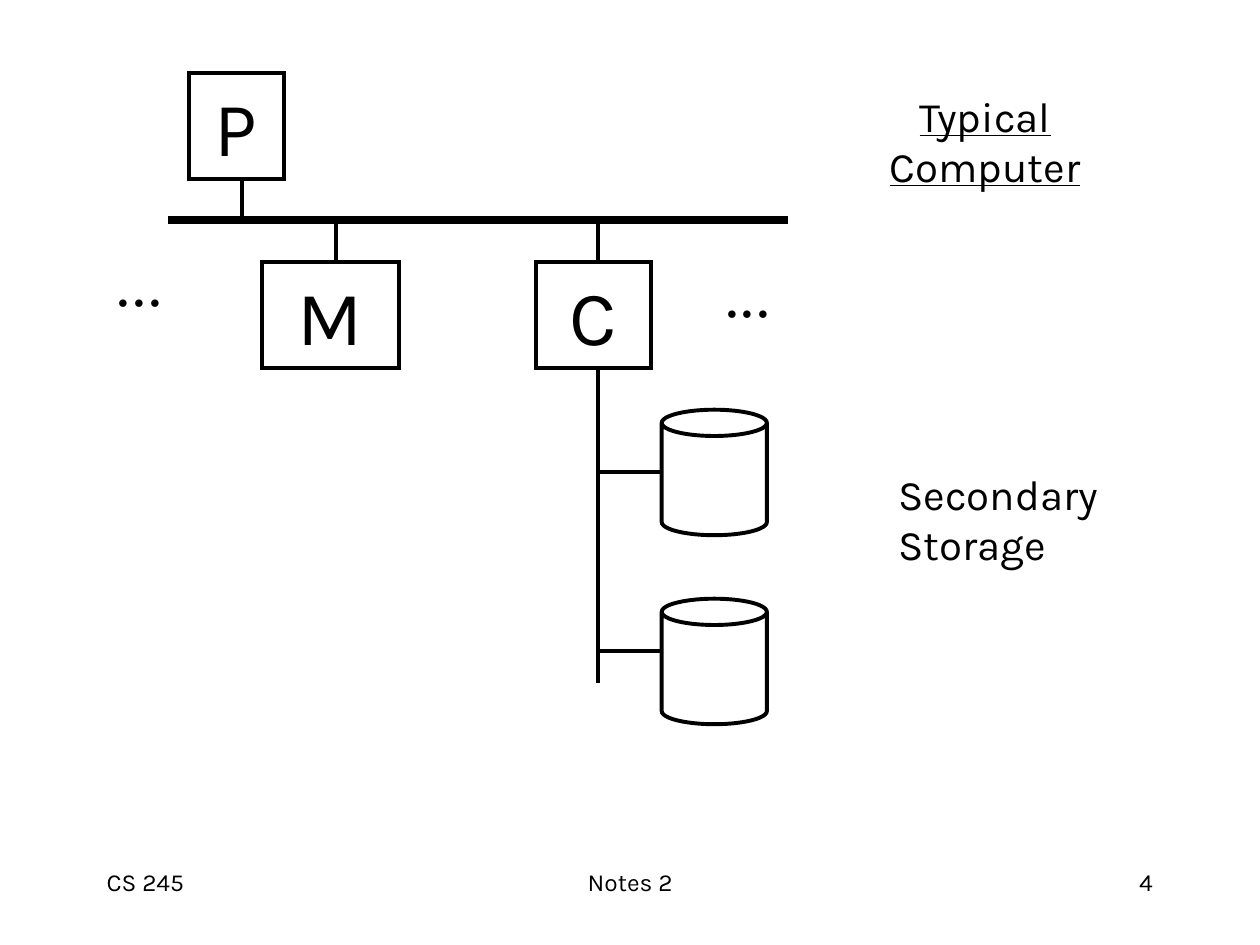
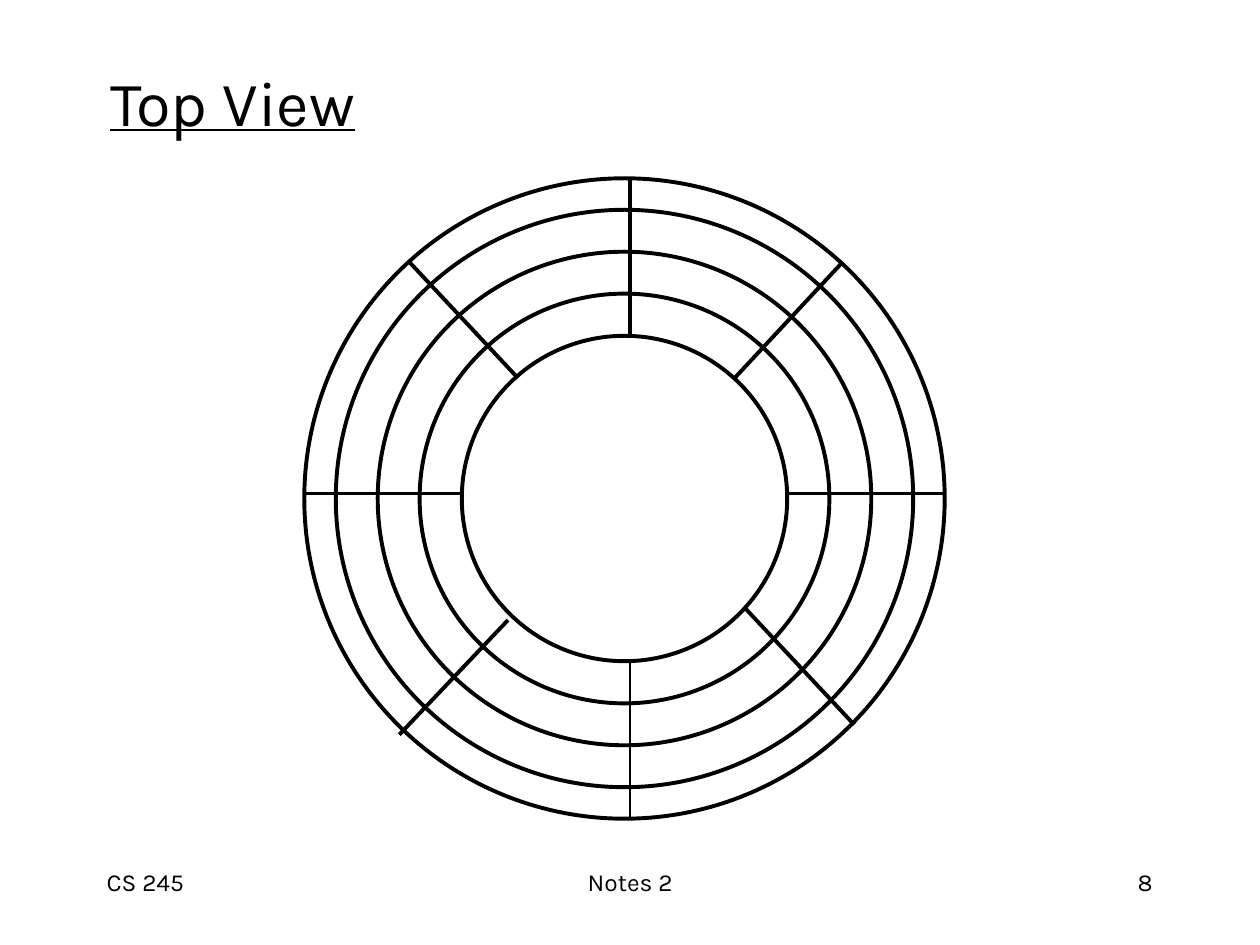
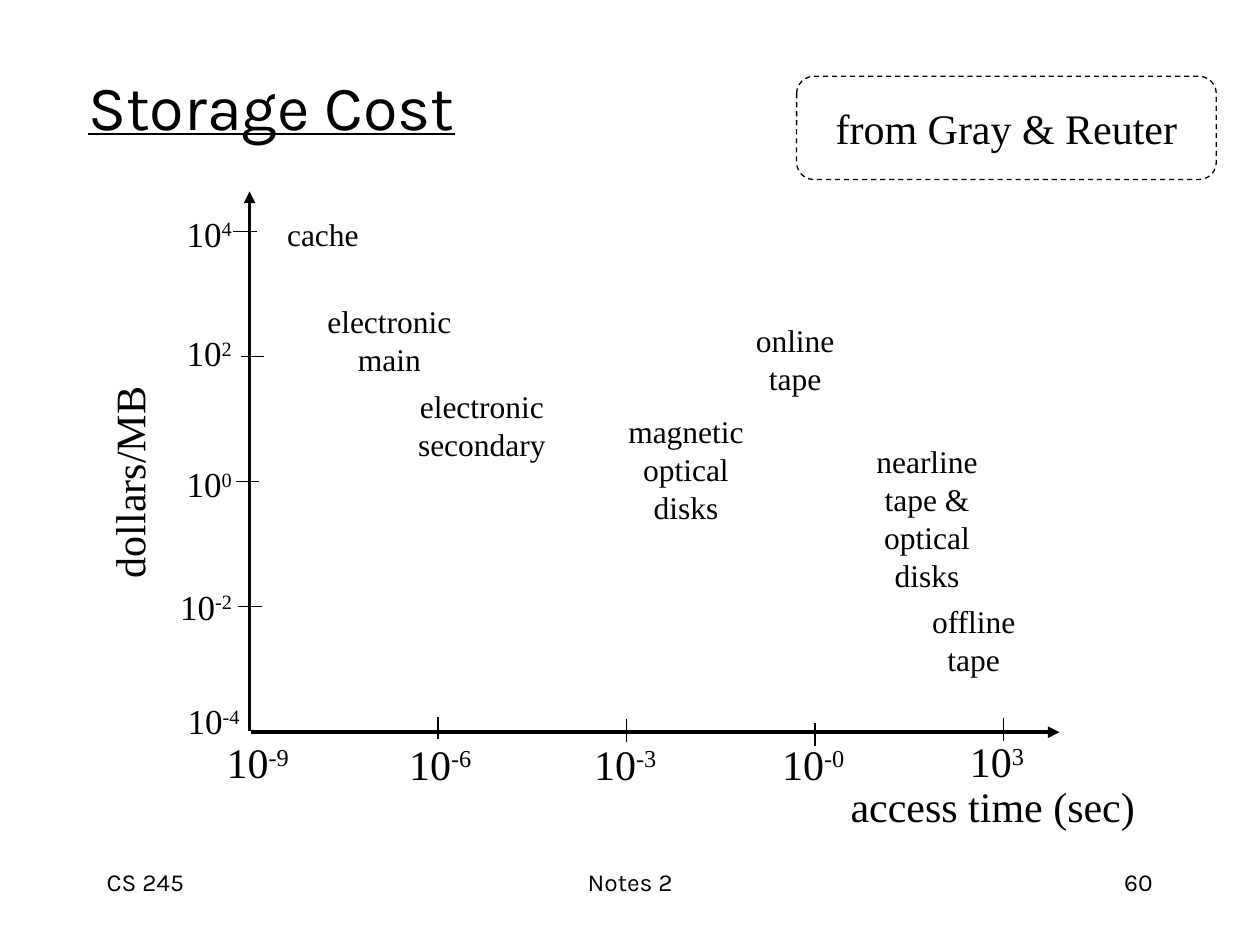
from dataclasses import dataclass

import lxml.etree
import pptx
import pptx.dml.color
import pptx.enum.dml
import pptx.enum.shapes
import pptx.enum.text
import pptx.oxml.ns
import pptx.util

Cm = pptx.util.Cm
Pt = pptx.util.Pt
qn = pptx.oxml.ns.qn
SHAPE = pptx.enum.shapes.MSO_SHAPE
ANCHOR = pptx.enum.text.MSO_ANCHOR
AUTO = pptx.enum.text.MSO_AUTO_SIZE
ALIGN = pptx.enum.text.PP_ALIGN
LEFT, CENTER, RIGHT = ALIGN.LEFT, ALIGN.CENTER, ALIGN.RIGHT
TOP, MIDDLE = ANCHOR.TOP, ANCHOR.MIDDLE


@dataclass
class Theme:
    ink: pptx.dml.color.RGBColor = pptx.dml.color.RGBColor(0, 0, 0)
    paper: pptx.dml.color.RGBColor = pptx.dml.color.RGBColor(255, 255, 255)
    sans: str = "Karla"
    serif: str = "Times New Roman"
    node: int = 44
    title: int = 36
    label: int = 24
    tick: int = 20
    item: int = 18
    footer: int = 14
    thin: float = 0.74
    medium: float = 2.24
    thick: float = 4.5


T = Theme()


def add_box(s, x, y, w, h, text="", size=T.label, font=T.serif, align=CENTER, anchor=MIDDLE,
            kind=None, filled=False, weight=T.medium, wrap=False, grow=True, underline=None):
    if kind is None:
        sp = s.shapes.add_textbox(Cm(x), Cm(y), Cm(w), Cm(h))
    else:
        sp = s.shapes.add_shape(kind, Cm(x), Cm(y), Cm(w), Cm(h))
        sp.shadow.inherit = False
        sp.line.color.rgb = T.ink
        sp.line.width = Pt(weight)
        lxml.etree.SubElement(sp._element.spPr.find(qn("a:ln")), qn("a:miter"), lim="800000")
        if filled:
            sp.fill.solid()
            sp.fill.fore_color.rgb = T.paper
        else:
            sp.fill.background()
    if not text:
        return sp
    tf = sp.text_frame
    tf.word_wrap = wrap
    tf.auto_size = AUTO.SHAPE_TO_FIT_TEXT if grow else AUTO.NONE
    tf.vertical_anchor = anchor
    if not wrap:
        tf.margin_right = Cm(0.2)
        if align == CENTER:
            tf.margin_left = Cm(0.2)
    for i, row in enumerate(text.split("\n")):
        p = tf.paragraphs[0] if i == 0 else tf.add_paragraph()
        p.alignment = align
        base, _, power = row.partition("^")
        for part in filter(None, (base, power)):
            r = p.add_run()
            r.text = part
            r.font.name = font
            r.font.size = Pt(size)
            r.font.color.rgb = T.ink
            r.font.underline = underline
        if power:
            r.font._element.set("baseline", "30000")
    return sp


def add_line(s, x1, y1, x2, y2, weight=T.medium, arrow=False):
    cx = s.shapes.add_connector(pptx.enum.shapes.MSO_CONNECTOR.STRAIGHT, Cm(x1), Cm(y1), Cm(x2), Cm(y2))
    cx.line.color.rgb = T.ink
    cx.line.width = Pt(weight)
    spPr = cx._element.spPr
    if arrow:
        lxml.etree.SubElement(spPr.find(qn("a:ln")), qn("a:tailEnd"), type="triangle")
    lxml.etree.SubElement(spPr, qn("a:effectLst"))


prs = pptx.Presentation()
prs.slide_width, prs.slide_height = Cm(25.4), Cm(19.05)

slides = []
for number in ("4", "8", "60"):
    s = prs.slides.add_slide(prs.slide_layouts[6])
    for x, w, text, align in ((1.9, 5.29, "CS 245", LEFT), (8.68, 8.05, "Notes 2", CENTER),
                              (18.2, 5.29, number, RIGHT)):
        add_box(s, x, 17.36, w, 1.27, text, T.footer, T.sans, align, TOP, wrap=True, grow=False)
    slides.append(s)
computer, disk, cost = slides

for x, y, w, text in ((3.81, 1.48, 1.91, "P"), (5.29, 5.29, 2.75, "M"), (10.8, 5.29, 2.33, "C")):
    add_box(computer, x, y, w, 2.13, text, T.node, T.sans, anchor=TOP, kind=SHAPE.RECTANGLE, wrap=True)
for y in (8.26, 12.07):
    add_box(computer, 13.34, y, 2.12, 2.53, kind=SHAPE.CAN)
add_box(computer, 17.6, 1.7, 4.52, 2.29, "Typical\nComputer", font=T.sans, anchor=TOP, underline=True)
bus, trunk, end = 4.44, 12.06, 13.34
add_line(computer, 3.39, bus, 15.88, bus, T.thick)
for x, y1, y2 in ((4.87, 3.6, bus), (6.77, bus, 5.29), (trunk, bus, 5.29), (trunk, 7.41, 13.76)):
    add_line(computer, x, y1, x, y2)
for y in (9.52, 13.12):
    add_line(computer, trunk, y, end, y)
add_box(computer, 17.86, 9.32, 4.67, 2.29, "Secondary\nStorage", font=T.sans, align=LEFT, anchor=TOP)
for x, y in ((14.35, 5), (2.08, 4.78)):
    add_box(computer, x, y, 1.45, 1.78, "...", T.title, align=LEFT, anchor=TOP)

add_box(disk, 1.97, 1.15, 5.89, 1.78, "Top View", T.title, T.sans, LEFT, TOP, underline=True)
for d in (12.91, 11.64, 9.95, 8.26, 6.56):
    add_box(disk, 12.59 - d / 2, 10.05 - d / 2, d, d, kind=SHAPE.OVAL, filled=True)
add_line(disk, 12.7, 16.51, 12.7, 13.34, T.thin)
for spoke in ((12.7, 6.78, 12.7, 3.61), (19.05, 9.95, 15.88, 9.95), (9.32, 9.95, 6.15, 9.95),
              (16.99, 5.28, 14.81, 7.62), (10.24, 12.5, 8.05, 14.81),
              (15.03, 12.27, 17.22, 14.61), (8.25, 5.28, 10.44, 7.62)):
    add_line(disk, *spoke)

add_box(cost, 1.53, 0.53, 21.59, 3.18, "Storage Cost", T.title, T.sans, LEFT,
        wrap=True, grow=False, underline=True)
add_line(cost, 5.03, 14.73, 5.03, 3.86, arrow=True)
add_line(cost, 5.05, 14.76, 21.36, 14.76, arrow=True)
for i, y in enumerate((14.45, 14.5, 14.58, 14.48)):
    x = 8.83 + 3.8 * i
    add_line(cost, x, y, x, y + 0.45, T.thin)
for i, x in enumerate((4.7, 4.85, 4.75, 4.8)):
    y = 4.67 + 2.52 * i
    add_line(cost, x, y, x + 0.48, y, T.thin)
for x, y, w, power in ((4.32, 14.73, 1.75, "-9"), (8, 14.76, 1.75, "-6"), (11.73, 14.76, 1.75, "-3"),
                       (15.52, 14.76, 1.75, "-0"), (19.3, 14.71, 1.6, "3")):
    add_box(cost, x, y, w, 1.27, "10^" + power)
add_box(cost, 16.89, 15.6, 6.25, 1.27, "access time (sec)")
for x, y, w, power in ((3.51, 4.14, 1.42, "4"), (3.51, 6.55, 1.42, "2"), (3.51, 9.19, 1.42, "0"),
                       (3.38, 11.66, 1.55, "-2"), (3.53, 13.97, 1.55, "-4")):
    add_box(cost, x, y, w, 1.12, "10^" + power, T.tick)
for x, y, w, text in ((5.53, 4.21, 1.96, "cache"), (6.35, 5.97, 3, "electronic\nmain"),
                      (8.18, 7.67, 3.07, "electronic\nsecondary"),
                      (12.42, 8.18, 2.82, "magnetic\noptical\ndisks"),
                      (14.99, 6.35, 2.08, "online\ntape"),
                      (17.42, 8.79, 2.54, "nearline\ntape &\noptical\ndisks"),
                      (18.54, 12.01, 2.18, "offline\ntape")):
    add_box(cost, x, y, w, 1.02 + 0.76 * text.count("\n"), text, T.item)
add_box(cost, 0.41, 9.09, 4.37, 1.27, "dollars/MB").rotation = 270
credit = add_box(cost, 16.06, 1.54, 8.46, 2.08, "from Gray & Reuter", kind=SHAPE.FLOWCHART_ALTERNATE_PROCESS,
                 filled=True, weight=T.thin, grow=False)
credit.line.dash_style = pptx.enum.dml.MSO_LINE.DASH

prs.save("out.pptx")
